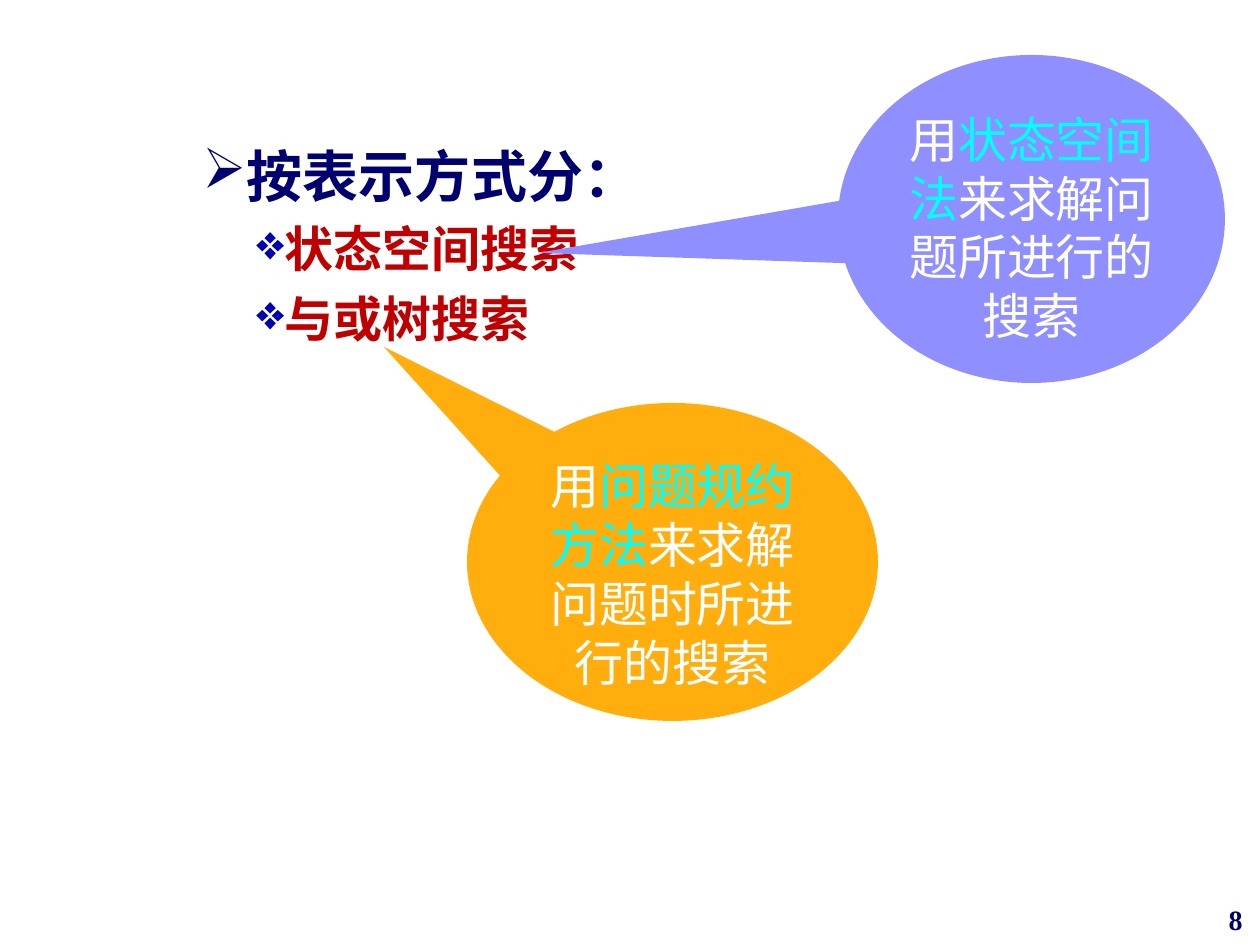
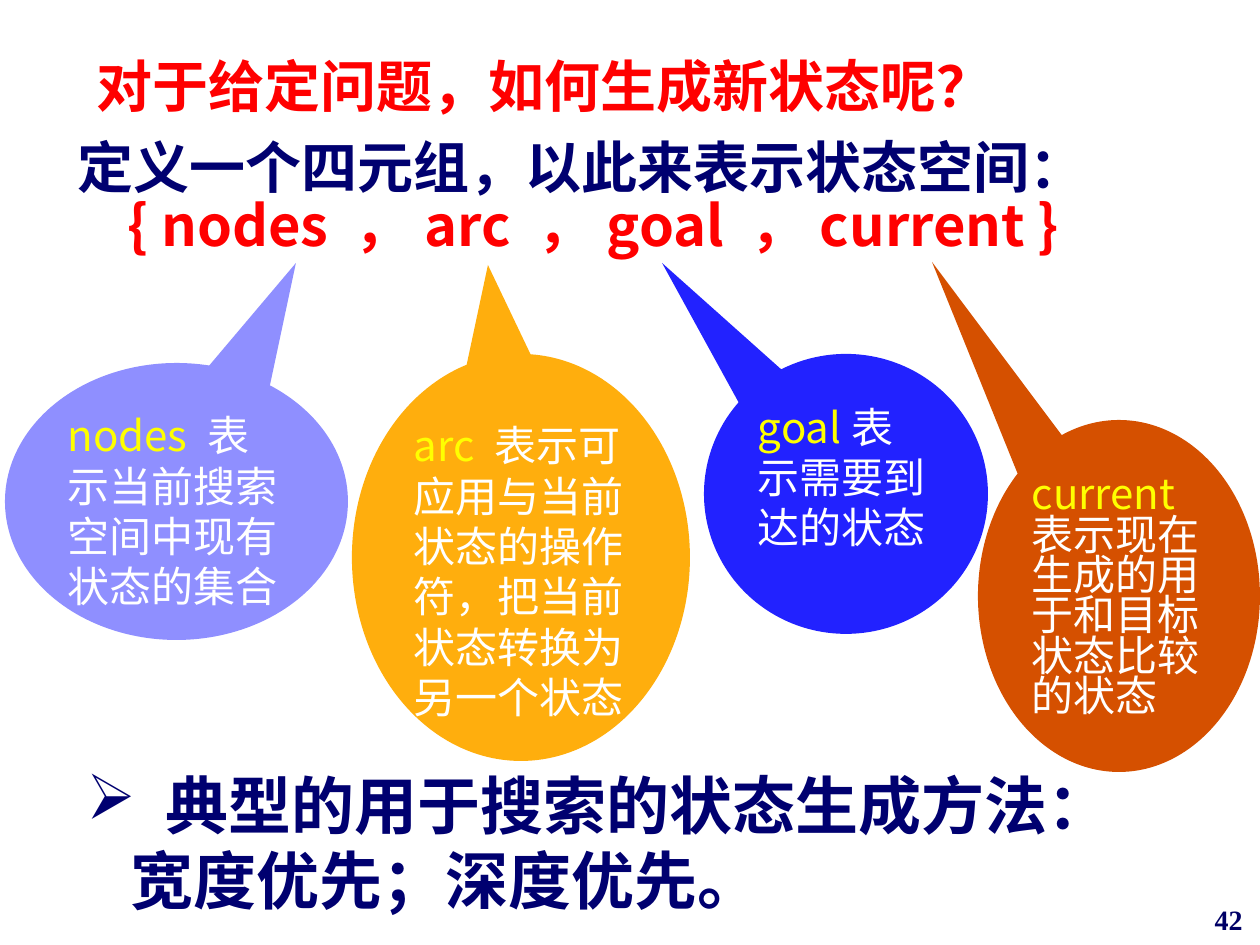
"""Build two slides on search representation and state generation."""
from lxml.etree import SubElement
from pptx import Presentation
from pptx.dml.color import RGBColor as RGB
from pptx.enum.shapes import MSO_SHAPE as SHAPE
from pptx.enum.text import MSO_ANCHOR as ANCHOR, PP_ALIGN as ALIGN
from pptx.oxml.ns import qn
from pptx.util import Inches, Pt

PX = Inches(1) / 126
FONT = "Noto Sans CJK SC"
NAVY = RGB(0x00, 0x00, 0x70)
NUMBER = RGB(0x00, 0x00, 0x66)
BLUE = RGB(0x00, 0x00, 0xB3)
DARK_RED = RGB(0xC0, 0x00, 0x00)
RED = RGB(0xFF, 0x00, 0x00)
WHITE = RGB(0xFF, 0xFF, 0xFF)
CYAN = RGB(0x00, 0xFF, 0xFF)
YELLOW = RGB(0xFF, 0xFF, 0x00)
LILAC = RGB(0x8F, 0x8F, 0xFF)
AMBER = RGB(0xFF, 0xAE, 0x0D)
ROYAL = RGB(0x22, 0x22, 0xFF)
RUST = RGB(0xD5, 0x50, 0x00)


def emu(px):
    return round(px * PX)


class Deck:
    def __init__(self):
        self.prs = Presentation()
        self.prs.slide_width, self.prs.slide_height = emu(1260), emu(945)

    def slide(self, number):
        self.s = self.prs.slides.add_slide(self.prs.slide_layouts[6])
        tf = self.text(993, 896, 262, 49)
        self.para(tf, [(number, NUMBER)], 16, bold=True, align=ALIGN.RIGHT,
                  font="Times New Roman")

    def text(self, x, y, w, h):
        return self.frame(self.s.shapes.add_textbox(*map(emu, (x, y, w, h))))

    def frame(self, sp):
        tf = sp.text_frame
        tf.word_wrap = True
        tf.vertical_anchor = ANCHOR.TOP
        return tf

    def para(self, tf, runs, size, bold=False, align=ALIGN.LEFT, font=FONT,
             margin=0, indent=0, bullet=None, before=0, spacing=None):
        p = tf.paragraphs[0]
        if p.runs:
            p = tf.add_paragraph()
            p.space_before = Pt(before)
        p.alignment = align
        if spacing:
            p.line_spacing = spacing
        pPr = p._p.get_or_add_pPr()
        pPr.set("marL", str(emu(margin)))
        pPr.set("indent", str(emu(indent)))
        if bullet:
            char, color = bullet
            clr = SubElement(pPr, qn("a:buClr"))
            SubElement(clr, qn("a:srgbClr"), val=str(color))
            SubElement(pPr, qn("a:buChar"), char=char)
        for content, color in runs:
            r = p.add_run()
            r.text = content
            r.font.size, r.font.bold, r.font.name = Pt(size), bold, font
            r.font.color.rgb = color
            SubElement(r._r.get_or_add_rPr(), qn("a:ea"), typeface=font)

    def callout(self, x, y, w, h, tip, fill, runs, size, **style):
        sp = self.s.shapes.add_shape(SHAPE.OVAL_CALLOUT, *map(emu, (x, y, w, h)))
        sp.adjustments[0] = (tip[0] - x) / w - 0.5
        sp.adjustments[1] = (tip[1] - y) / h - 0.5
        sp.shadow.inherit = False
        sp.fill.solid()
        sp.fill.fore_color.rgb = fill
        sp.line.fill.background()
        self.para(self.frame(sp), runs, size, **style)


def search_kinds(deck):
    deck.slide("8")
    tf = deck.text(95, 135, 753, 704)
    deck.para(tf, [("按表示方式分：", NAVY)], 32, bold=True, align=ALIGN.JUSTIFY,
              margin=48, indent=47, bullet=("➢", NAVY))
    for kind in ("状态空间搜索", "与或树搜索"):
        deck.para(tf, [(kind, DARK_RED)], 28, bold=True, align=ALIGN.JUSTIFY,
                  margin=102, indent=47, bullet=("❖", BLUE), before=6)
    for box, tip, fill, method, rest in (
        ((838, 55, 387, 328), (538, 253), LILAC,
         "状态空间法", "来求解问题所进行的搜索"),
        ((467, 403, 411, 318), (384, 347), AMBER,
         "问题规约方法", "来求解问题时所进行的搜索"),
    ):
        runs = [("用", WHITE), (method, CYAN), (rest, WHITE)]
        deck.callout(*box, tip, fill, runs, 28, align=ALIGN.CENTER)


def state_space(deck):
    deck.slide("42")
    deck.para(deck.text(84, 45, 1071, 90),
              [("对于给定问题，如何生成新状态呢？", RED)], 32, bold=True)
    tf = deck.text(15, 145, 1191, 130)
    for line, color, indent in (
        ("定义一个四元组，以此来表示状态空间：", NAVY, 2),
        ("{ nodes ，arc ，goal ，current }", RED, 52),
    ):
        deck.para(tf, [(line, color)], 32, bold=True, align=ALIGN.JUSTIFY,
                  margin=48, indent=indent, before=6, spacing=0.7)
    for box, tip, fill, term, meaning, spacing in (
        ((5, 363, 343, 277), (296, 263), LILAC, "nodes ",
         "表示当前搜索空间中现有状态的集合", None),
        ((352, 354, 338, 407), (488, 265), AMBER, "arc ",
         "表示可应用与当前状态的操作符，把当前状态转换为另一个状态", None),
        ((704, 354, 284, 280), (662, 263), ROYAL, "goal",
         "表示需要到达的状态", None),
        ((978, 420, 282, 352), (932, 262), RUST, "current ",
         "表示现在生成的用于和目标状态比较的状态", 0.8),
    ):
        deck.callout(*box, tip, fill, [(term, YELLOW), (meaning, WHITE)], 24,
                     spacing=spacing)
    tf = deck.text(74, 760, 1071, 179)
    deck.para(tf, [("典型的用于搜索的状态生成方法：", NAVY)], 36, bold=True,
              margin=79, indent=-79, bullet=("➢", NAVY))
    deck.para(tf, [("宽度优先；深度优先。", NAVY)], 36, bold=True, margin=44)


def main():
    deck = Deck()
    search_kinds(deck)
    state_space(deck)
    deck.prs.save("out.pptx")


if __name__ == "__main__":
    main()
